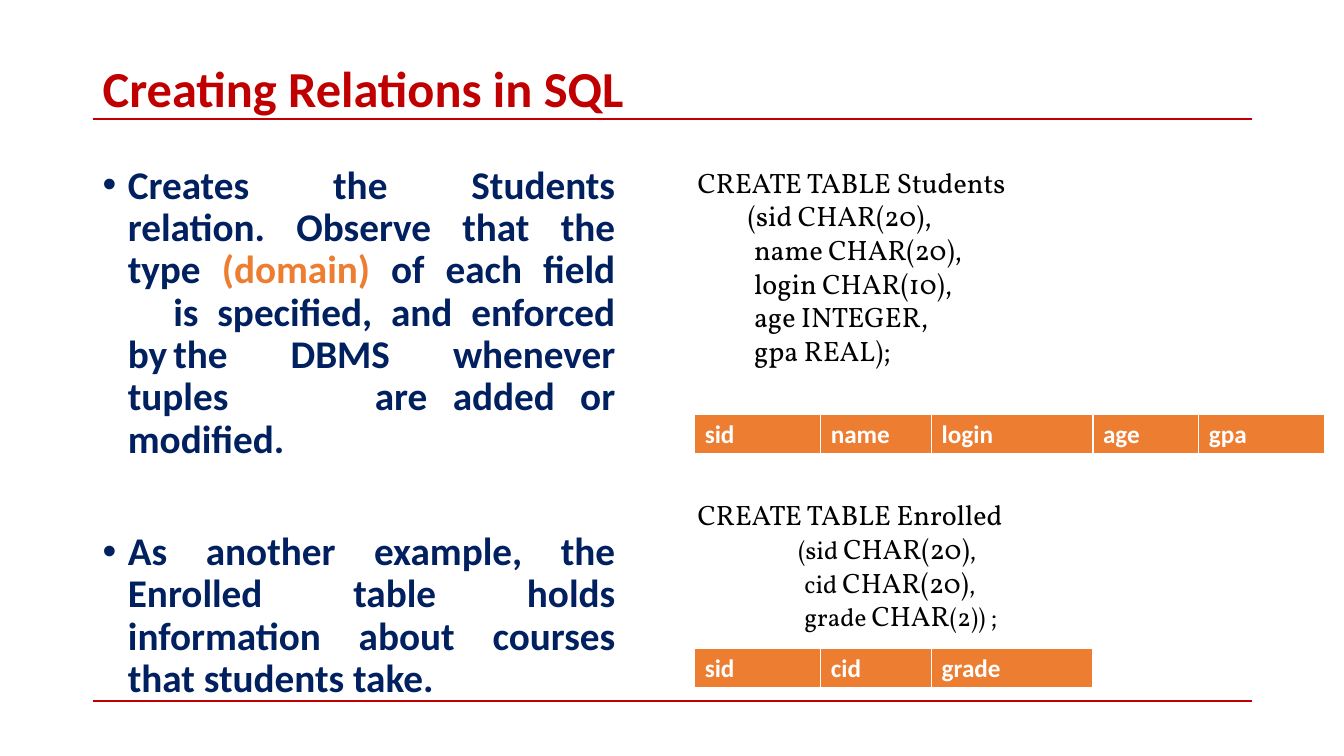
import pptx
import pptx.dml.color
import pptx.enum.shapes
import pptx.enum.text
import pptx.oxml
import pptx.oxml.ns
import pptx.util
from pptx.util import Inches

RED, NAVY, ORANGE = "C00000", "002060", "ED7D31"
BLACK, WHITE = "000000", "FFFFFF"
NS = pptx.oxml.ns.nsdecls("a")
COLUMN_WIDTHS = [1.25, 1.1, 1.6, 1.05, 1.25]
CODE_LEFT, TABLE_LEFT = 6.82, 6.89


def rgb(color):
    return pptx.dml.color.RGBColor.from_string(color)


def add_rule(slide, y):
    line = slide.shapes.add_connector(
        pptx.enum.shapes.MSO_CONNECTOR.STRAIGHT,
        Inches(0.92), Inches(y), Inches(12.42), Inches(y))
    line.line.color.rgb = rgb(RED)
    line.line.width = pptx.util.Pt(1.5)
    line._element.spPr.append(pptx.oxml.parse_xml(f"<a:effectLst {NS}/>"))


def add_text_box(slide, left, top, width, height):
    tf = slide.shapes.add_textbox(
        Inches(left), Inches(top), Inches(width), Inches(height)).text_frame
    tf.word_wrap = True
    return tf


def format_runs(p, size, font, color, bold=False):
    for r in p.runs:
        r.font.size = pptx.util.Pt(size)
        r.font.name = font
        r.font.color.rgb = rgb(color)
        r.font.bold = bold


def add_title(slide, text):
    tf = add_text_box(slide, 0.92, 0.61, 11.5, 0.58)
    tf.vertical_anchor = pptx.enum.text.MSO_ANCHOR.MIDDLE
    tf.text = text
    p = tf.paragraphs[0]
    p.line_spacing = 0.9
    format_runs(p, 36, "Calibri", RED, True)


def format_bullet(p, space_before, tabs=()):
    p.alignment = pptx.enum.text.PP_ALIGN.JUSTIFY
    p.line_spacing = 0.9
    p.space_before = pptx.util.Pt(space_before)
    format_runs(p, 28, "Calibri", NAVY, True)
    pPr = p._p.get_or_add_pPr()
    pPr.set("marL", str(Inches(0.25)))
    pPr.set("indent", str(Inches(-0.25)))
    pPr.append(pptx.oxml.parse_xml(f'<a:buFont {NS} typeface="Arial"/>'))
    pPr.append(pptx.oxml.parse_xml(f'<a:buChar {NS} char="•"/>'))
    if tabs:
        stops = "".join(f'<a:tab pos="{Inches(t)}" algn="l"/>' for t in tabs)
        pPr.append(pptx.oxml.parse_xml(f"<a:tabLst {NS}>{stops}</a:tabLst>"))


def add_bullets(slide):
    tf = add_text_box(slide, 0.92, 1.59, 5.28, 5.35)
    tf.text = "Creates the Students\vrelation. Observe that the\vtype "
    p = tf.paragraphs[0]
    domain = p.add_run()
    domain.text = "(domain) "
    p.add_run().text = "of each field"
    p.add_line_break()
    p.add_run().text = ("\tis specified, and enforced by\tthe DBMS whenever "
                        "tuples\tare added or modified.")
    format_bullet(p, 10, tabs=(0.7, 2.7))
    domain.font.color.rgb = rgb(ORANGE)

    p = tf.add_paragraph()
    p.text = ("As another example, the Enrolled table holds "
              "information about courses\vthat students take.")
    format_bullet(p, 50)


def add_code(slide, top, width, height, lines):
    """Each line is its indent and a list of (text, size) runs."""
    tf = add_text_box(slide, CODE_LEFT, top, width, height)
    for i, (indent, runs) in enumerate(lines):
        p = tf.add_paragraph() if i else tf.paragraphs[0]
        p._p.get_or_add_pPr().set("marL", str(Inches(indent)))
        for text, size in runs:
            r = p.add_run()
            r.text = text
            r.font.size = pptx.util.Pt(size)
            r.font.name = "Vollkorn"
            r.font.color.rgb = rgb(BLACK)


def add_border(cell, side, width):
    border = pptx.oxml.parse_xml(
        f'<a:{side} {NS} w="{pptx.util.Pt(width)}"><a:solidFill>'
        f'<a:srgbClr val="{WHITE}"/></a:solidFill></a:{side}>')
    cell._tc.get_or_add_tcPr().append(border)


def add_schema_table(slide, top, fields):
    widths = COLUMN_WIDTHS[:len(fields)]
    table = slide.shapes.add_table(
        1, len(fields), Inches(TABLE_LEFT), Inches(top),
        Inches(sum(widths)), Inches(0.4)).table
    for column, width in zip(table.columns, widths):
        column.width = Inches(width)
    for cell, field in zip(table.rows[0].cells, fields):
        cell.text = field
        format_runs(cell.text_frame.paragraphs[0], 18, "Calibri", WHITE, True)
        for side, width in (("lnL", 1), ("lnR", 1), ("lnT", 1), ("lnB", 3)):
            add_border(cell, side, width)
        cell.fill.solid()
        cell.fill.fore_color.rgb = rgb(ORANGE)


def main():
    prs = pptx.Presentation()
    prs.slide_width, prs.slide_height = Inches(13.33), Inches(7.5)
    slide = prs.slides.add_slide(prs.slide_layouts[6])

    # Frame and title
    for y in (1.18, 6.95):
        add_rule(slide, y)
    add_title(slide, "Creating Relations in SQL")

    # Explanation
    add_bullets(slide)

    # Students relation
    add_code(slide, 1.59, 3.52, 2.12, [
        (0, [("CREATE TABLE Students", 20)]),
        (0.5, [("(sid CHAR(20),", 20)]),
        (0.56, [("name CHAR(20),", 20)]),
        (0.56, [("login CHAR(10),", 20)]),
        (0.56, [("age INTEGER,", 20)]),
        (0.56, [("gpa REAL);", 20)]),
    ])
    add_schema_table(slide, 4.11, ["sid", "name", "login", "age", "gpa"])

    # Enrolled relation
    add_code(slide, 4.89, 3.86, 1.44, [
        (0, [("CREATE TABLE Enrolled", 20)]),
        (1, [("(sid ", 18), ("CHAR(20)", 20), (",", 18)]),
        (1.06, [("cid ", 18), ("CHAR(20)", 20), (",", 18)]),
        (1.06, [("grade ", 18), ("CHAR", 20), ("(2)) ;", 18)]),
    ])
    add_schema_table(slide, 6.43, ["sid", "cid", "grade"])

    prs.save("out.pptx")


if __name__ == "__main__":
    main()
